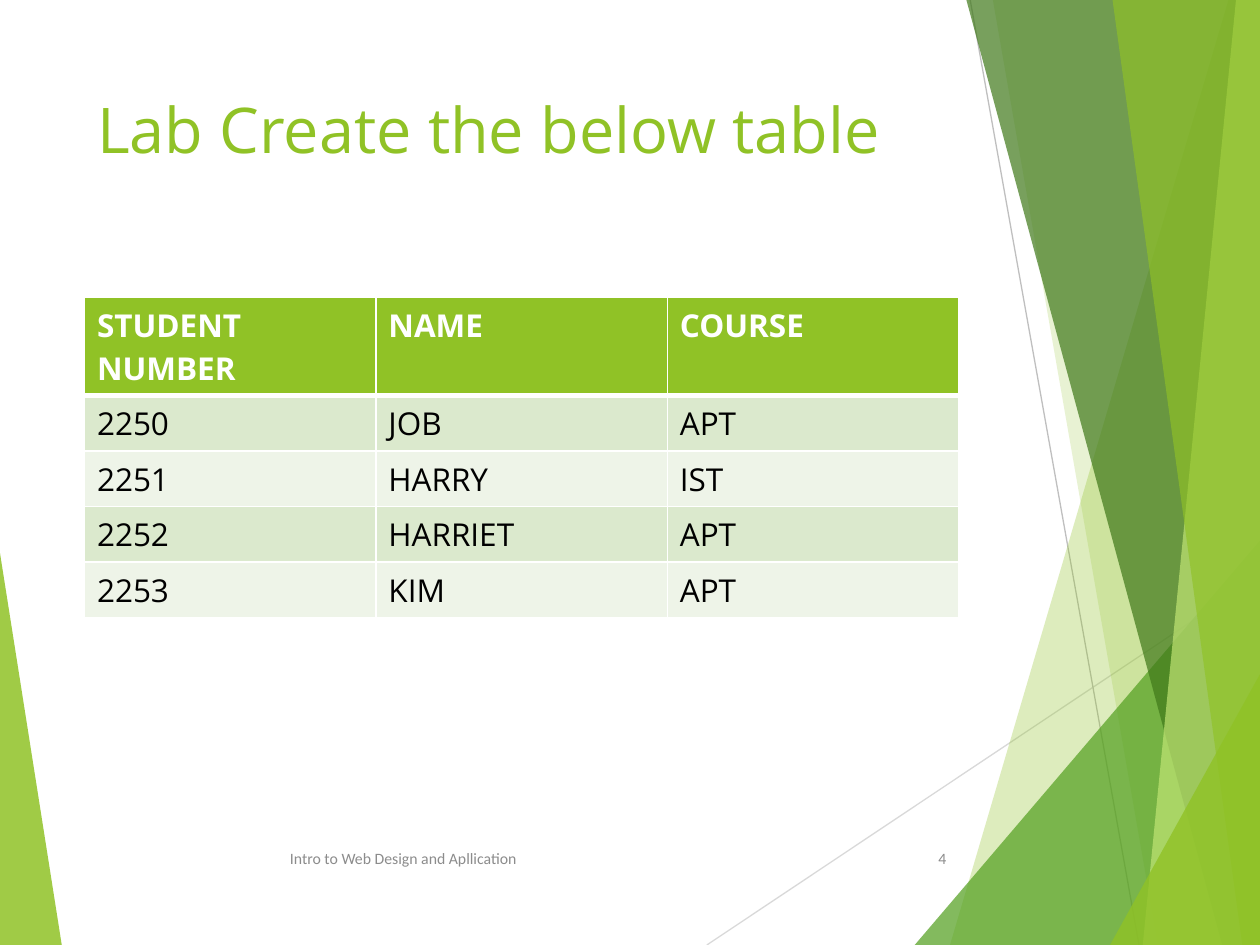
from dataclasses import dataclass
from lxml.etree import SubElement
from pptx import Presentation
from pptx.dml.color import RGBColor
from pptx.enum.shapes import MSO_CONNECTOR
from pptx.enum.text import MSO_ANCHOR as Anchor, MSO_AUTO_SIZE as AutoSize, PP_ALIGN as Align
from pptx.oxml.ns import qn
from pptx.util import Inches, Pt


@dataclass(frozen=True)
class Theme:
    """Colours, fonts and type sizes of the slide."""
    lime: str = "90C226"
    green: str = "54A021"
    forest: str = "3F7819"
    pale: str = "C0E474"
    white: str = "FFFFFF"
    black: str = "000000"
    grey: str = "8C8C8C"
    bands: tuple = ("DBE9CD", "EEF4E8")
    font: str = "Open Sans"
    small_font: str = "Calibri"
    title: int = 36
    body: int = 18
    small: int = 9


T = Theme()
W, H = 10, 7.5
LEFT, CONTENT_W = 0.67, 6.94
FOOTER_TOP, FOOTER_H = 6.61, 0.4


def write(tf, text, size=T.body, color=T.black, font=T.font, bold=False,
          align=Align.LEFT, anchor=Anchor.TOP):
    """Put one formatted line of text into a text frame."""
    tf.word_wrap = True
    tf.vertical_anchor = anchor
    p = tf.paragraphs[0]
    p.alignment = align
    r = p.add_run()
    r.text = text
    r.font.size, r.font.name, r.font.bold = Pt(size), font, bold
    r.font.color.rgb = RGBColor.from_string(color)


def add_border(cell, side, width):
    """Draw a white border on one side of a table cell."""
    ln = SubElement(cell._tc.get_or_add_tcPr(), qn(f"a:{side}"), w=str(Pt(width)))
    fill = SubElement(ln, qn("a:solidFill"))
    SubElement(fill, qn("a:srgbClr"), val=T.white)


prs = Presentation()
prs.slide_width, prs.slide_height = Inches(W), Inches(H)
s = prs.slides.add_slide(prs.slide_layouts.get_by_name("Title Only"))

# Thin lines behind the facets
for x1, y1, x2, y2, color in [(5.61, H, W, 4.57, "D9D9D9"), (7.7, 0, 9.04, H, "BFBFBF")]:
    line = s.shapes.add_connector(MSO_CONNECTOR.STRAIGHT, *map(Inches, (x1, y1, x2, y2)))
    line.line.color.rgb = RGBColor.from_string(color)
    line.line.width = Pt(0.75)
    SubElement(line._element.spPr, qn("a:effectLst"))

# Translucent facets: colour, opacity in percent, corners
facets = [
    (T.lime, 85, [(0, 4.39), (0.49, H), (0, H)]),
    (T.lime, 30, [(9.75, 0), (7.54, H), (W, H), (W, 0)]),
    (T.lime, 20, [(7.88, 0), (9.19, H), (W, H), (W, 0)]),
    (T.green, 72, [(7.26, H), (W, 4.29), (W, H)]),
    (T.forest, 70, [(7.67, 0), (9.7, H), (W, H), (W, 0)]),
    (T.pale, 70, [(9.81, 0), (9.07, H), (W, H), (W, 0)]),
    (T.lime, 65, [(8.83, 0), (9.86, H), (W, H), (W, 0)]),
    (T.lime, 80, [(8.81, H), (W, 5.35), (W, H)]),
]
for color, opacity, corners in facets:
    start, *rest = [(Inches(x), Inches(y)) for x, y in corners]
    builder = s.shapes.build_freeform(*start)
    builder.add_line_segments(rest, close=True)
    facet = builder.convert_to_shape()
    facet.shadow.inherit = False
    facet.line.fill.background()
    facet.fill.solid()
    facet.fill.fore_color.rgb = RGBColor.from_string(color)
    clr = facet._element.spPr.find(".//" + qn("a:srgbClr"))
    SubElement(clr, qn("a:alpha"), val=str(opacity * 1000))

# Title, raised above the facets
title = s.shapes.title
title.left, title.top, title.width, title.height = map(Inches, (LEFT, 0.67, CONTENT_W, 0.92))
title.text_frame.auto_size = AutoSize.NONE
write(title.text_frame, "Lab Create the below table", size=T.title, color=T.lime)
s.shapes._spTree.append(title._element)

# Student table
students = [
    ("STUDENT NUMBER", "NAME", "COURSE"),
    ("2250", "JOB", "APT"),
    ("2251", "HARRY", "IST"),
    ("2252", "HARRIET", "APT"),
    ("2253", "KIM", "APT"),
]
table = s.shapes.add_table(len(students), len(students[0]),
                           *map(Inches, (LEFT, 2.36, CONTENT_W, 2.03))).table
for i, row in enumerate(students):
    header = i == 0
    for j, text in enumerate(row):
        cell = table.cell(i, j)
        write(cell.text_frame, text, color=T.white if header else T.black, bold=header)
        for side in ("lnL", "lnR", "lnT", "lnB"):
            thick = (header and side == "lnB") or (i == 1 and side == "lnT")
            add_border(cell, side, 3 if thick else 1)
        cell.fill.solid()
        cell.fill.fore_color.rgb = RGBColor.from_string(T.lime if header else T.bands[(i - 1) % 2])

# Footer and slide number
for x, width, text, align in [
    (LEFT, 5.06, "Intro to Web Design and Apllication", Align.CENTER),
    (7.05, 0.56, "4", Align.RIGHT),
]:
    box = s.shapes.add_textbox(*map(Inches, (x, FOOTER_TOP, width, FOOTER_H)))
    write(box.text_frame, text, size=T.small, color=T.grey, font=T.small_font,
          align=align, anchor=Anchor.MIDDLE)

prs.save("out.pptx")
